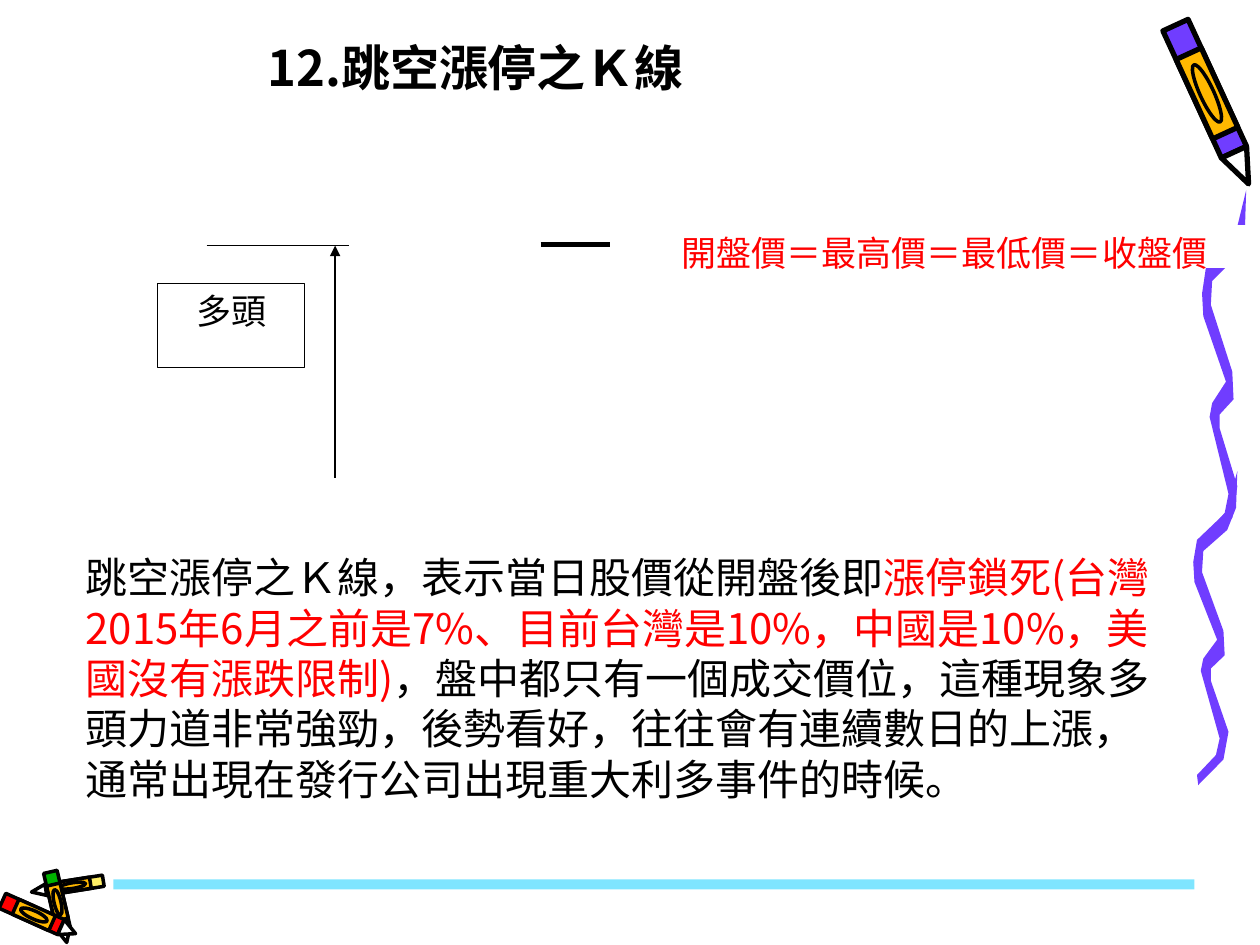
from math import atan2, degrees, hypot

from lxml.etree import SubElement
from pptx import Presentation
from pptx.dml.color import RGBColor
from pptx.enum.shapes import MSO_CONNECTOR as Connector, MSO_SHAPE as Preset
from pptx.enum.text import MSO_ANCHOR as Anchor, MSO_AUTO_SIZE as AutoSize, PP_ALIGN as Align
from pptx.oxml.ns import qn
from pptx.util import Inches, Pt

THEME = {
    "black": "000000", "red": "FF0000", "white": "FFFFFF", "purple": "703DFF",
    "orange": "FFB800", "yellow": "FFEF66", "green": "00B200", "sky": "00CCFF",
    "title": {"size": Pt(28), "bold": True, "name": "Noto Sans CJK SC"},
    "body": {"size": Pt(24), "bold": False, "name": "Noto Sans CJK SC"},
    "label": {"size": Pt(20), "bold": False, "name": "Noto Sans CJK TC"},
    "leading": 1.2, "thin": Pt(0.75), "medium": Pt(2), "thick": Pt(3),
}

# Slide text: (box, style, alignment, anchor, outline or None, spans)
TEXTS = [
    ((1.83, 0.06, 3.89, 0.75), "title", Align.CENTER, Anchor.BOTTOM, None,
     [("12.跳空漲停之Ｋ線", "black")]),
    ((1.25, 2.25, 1.17, 0.67), "label", Align.CENTER, Anchor.TOP, "black", [("多頭", "black")]),
    ((5.31, 1.79, 4.67, 0.33), "label", Align.LEFT, Anchor.TOP, "white",
     [("開盤價＝最高價＝最低價＝收盤價", "red")]),
    ((0.58, 4.33, 8.75, 2.12), "body", Align.LEFT, Anchor.TOP, None,
     [("跳空漲停之Ｋ線，表示當日股價從開盤後即", "black"),
      ("漲停鎖死(台灣2015年6月之前是7%、目前台灣是10%，中國是10%，美國沒有漲跌限制)", "red"),
      ("，盤中都只有一個成交價位，這種現象多頭力道非常強勁，後勢看好，"
       "往往會有連續數日的上漲，通常出現在發行公司出現重大利多事件的時候。", "black")]),
]

# Chart lines: (from x, from y, to x, to y, weight, arrow)
LINES = [
    (1.64, 1.95, 2.77, 1.95, "thin", False),
    (2.66, 3.79, 2.66, 1.95, "thin", True),
    (4.29, 1.94, 4.84, 1.94, "thick", False),
]
FOOTER_BAR = (0.9, 6.98, 8.58, 0.08)

# Crayons: (blunt end, point, width, end colour, line weight)
CRAYONS = [
    ((9.33, 0.2), (9.91, 1.46), 0.22, "purple", "thick"),
    ((0.82, 6.99), (0.25, 7.08), 0.09, "yellow", "medium"),
    ((0.4, 6.92), (0.53, 7.48), 0.11, "green", "medium"),
    ((0.02, 7.15), (0.6, 7.41), 0.13, "red", "medium"),
]
# Crayon parts: corners as (share of length, share of width)
BARREL = [(0, -0.5), (0.8, -0.5), (0.8, 0.5), (0, 0.5)]
WRAPPER = [(0.18, -0.5), (0.68, -0.5), (0.68, 0.5), (0.18, 0.5)]
TIP = [(0.8, -0.5), (1, 0), (0.8, 0.5)]
EMBLEM = (0.43, 0.36, 0.5)  # middle and length along the crayon, share of width

# Ribbon: left edge going up, then right edge going down; drawn twice
RIBBON = [
    (9.57, 4.25), (9.72, 4.07), (9.75, 3.92), (9.6, 3.31), (9.62, 3.2), (9.73, 3.03),
    (9.55, 2.51), (9.54, 2.33), (9.57, 2.13), (9.8, 1.88), (9.89, 1.51), (9.88, 1.84),
    (9.81, 2.04), (9.62, 2.23), (9.61, 2.42), (9.78, 2.95), (9.79, 3.17), (9.68, 3.29),
    (9.68, 3.4), (9.82, 3.86), (9.78, 4.11), (9.58, 4.34),
]
RIBBON_TOP = 1.51
RIBBON_COPIES = [(-0.07, 3.74, 0.88), (0, RIBBON_TOP, 1)]  # x shift, top, height scale


def colour(name):
    return RGBColor.from_string(THEME[name])


def paint(shape, fill=None, outline=None, weight="thin"):
    shape.shadow.inherit = False
    if fill:
        shape.fill.solid()
        shape.fill.fore_color.rgb = colour(fill)
    else:
        shape.fill.background()
    if outline:
        shape.line.color.rgb = colour(outline)
        shape.line.width = THEME[weight]
    else:
        shape.line.fill.background()


def add_outline(shapes, corners, *finish):
    start, *rest = [(Inches(x), Inches(y)) for x, y in corners]
    builder = shapes.build_freeform(*start)
    builder.add_line_segments(rest, close=True)
    paint(builder.convert_to_shape(), *finish)


def add_crayon(shapes, end, point, width, end_colour, weight):
    run, rise = point[0] - end[0], point[1] - end[1]
    length = hypot(run, rise)

    def place(along, across):
        offset = across * width / length
        return end[0] + along * run - offset * rise, end[1] + along * rise + offset * run

    for part, fill in ((BARREL, end_colour), (WRAPPER, "orange"), (TIP, "white")):
        add_outline(shapes, [place(*corner) for corner in part], fill, "black", weight)
    middle, share, thickness = EMBLEM
    x, y = place(middle, 0)
    wide, high = share * length, thickness * width
    oval = shapes.add_shape(Preset.OVAL, *map(Inches, (x - wide / 2, y - high / 2, wide, high)))
    oval.rotation = degrees(atan2(rise, run))
    paint(oval, None, "black", "medium")


def add_line(shapes, x1, y1, x2, y2, weight, arrow):
    line = shapes.add_connector(Connector.STRAIGHT, *map(Inches, (x1, y1, x2, y2)))
    line.line.color.rgb = colour("black")
    line.line.width = THEME[weight]
    properties = line._element.spPr
    if arrow:
        SubElement(properties.find(qn("a:ln")), qn("a:tailEnd"), type="triangle")
    SubElement(properties, qn("a:effectLst"))


def add_text(shapes, place, style, align, anchor, outline, spans):
    place = [Inches(value) for value in place]
    if outline:
        box = shapes.add_shape(Preset.RECTANGLE, *place)
        paint(box, "white", outline)
    else:
        box = shapes.add_textbox(*place)
    frame = box.text_frame
    settings = {"word_wrap": True, "vertical_anchor": anchor,
                "auto_size": AutoSize.SHAPE_TO_FIT_TEXT if style == "body" else AutoSize.NONE}
    for name, value in settings.items():
        setattr(frame, name, value)
    para = frame.paragraphs[0]
    para.alignment = align
    para.line_spacing = Pt(round(THEME[style]["size"].pt * THEME["leading"], 1))
    for text, tint in spans:
        span = para.add_run()
        span.text = text
        for name, value in THEME[style].items():
            setattr(span.font, name, value)
        span.font.color.rgb = colour(tint)
        SubElement(span._r.get_or_add_rPr(), qn("a:ea"), typeface=THEME[style]["name"])


deck = Presentation()
deck.slide_width, deck.slide_height = Inches(10), Inches(7.5)
shapes = deck.slides.add_slide(deck.slide_layouts[6]).shapes

# Ribbon and crayons
ribbon = shapes.add_group_shape().shapes
for shift, top, scale in RIBBON_COPIES:
    add_outline(ribbon, [(x + shift, top + (y - RIBBON_TOP) * scale) for x, y in RIBBON], "purple")
for crayon in CRAYONS:
    add_crayon(shapes.add_group_shape().shapes, *crayon)

# Half-transparent footer bar
bar = shapes.add_shape(Preset.RECTANGLE, *map(Inches, FOOTER_BAR))
paint(bar, "sky")
SubElement(bar._element.spPr.find(".//" + qn("a:srgbClr")), qn("a:alpha"), val="50000")

# Text and price lines
for item in TEXTS:
    add_text(shapes, *item)
for item in LINES:
    add_line(shapes, *item)

deck.save("out.pptx")
